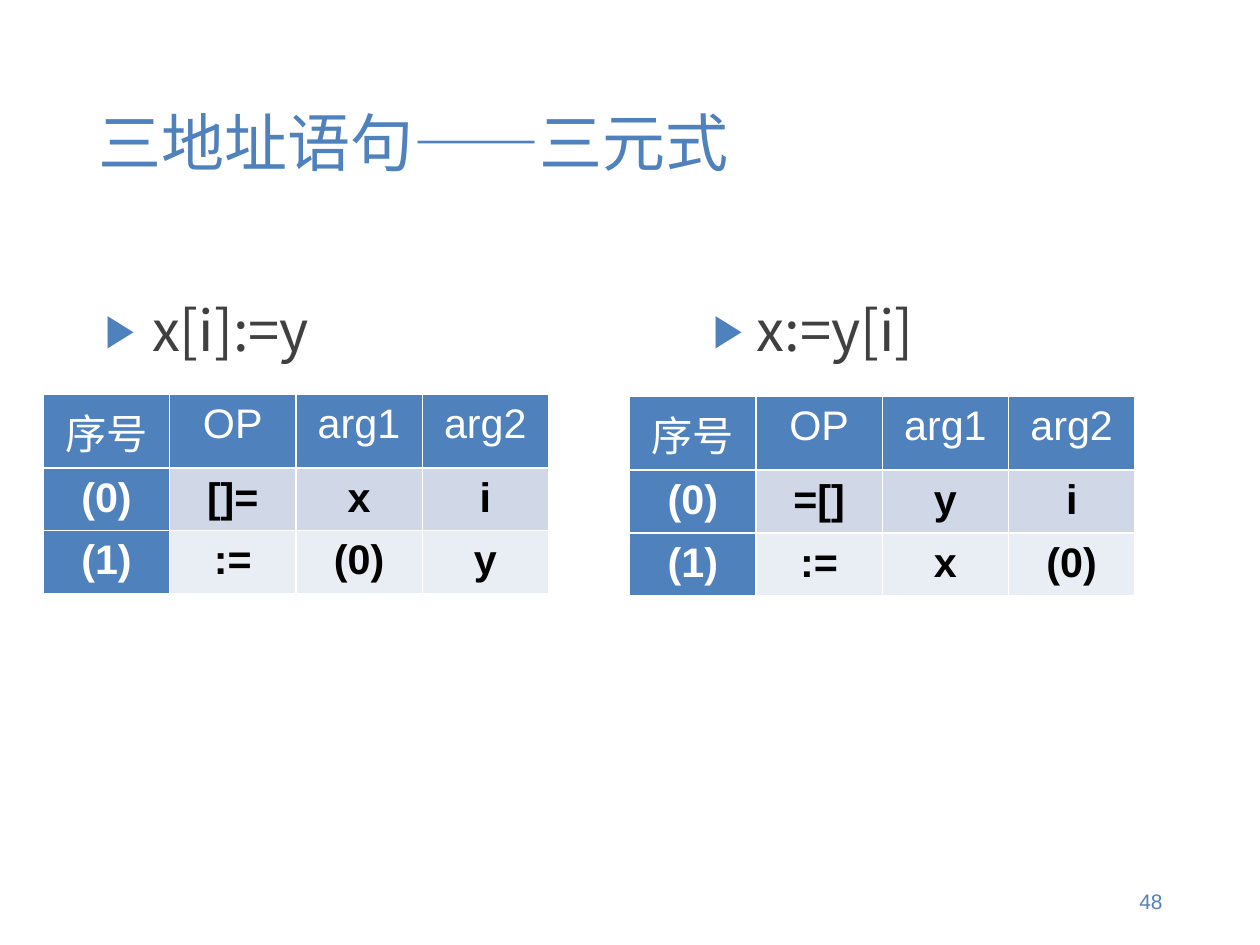
from lxml.etree import SubElement
from pptx import Presentation
from pptx.dml.color import RGBColor
from pptx.enum.text import MSO_ANCHOR as Anchor, MSO_AUTO_SIZE as AutoSize, PP_ALIGN as Align
from pptx.oxml import parse_xml
from pptx.oxml.ns import nsdecls, qn
from pptx.util import Cm, Inches, Pt

BLUE, WHITE, BLACK, GREY = "4F81BD", "FFFFFF", "000000", "404040"
BANDS = ["D0D8E8", "E9EDF4"]
LATIN, CHINESE = "Arial", "Noto Sans CJK SC"
HEADER = ["序号", "OP", "arg1", "arg2"]


def color(hex_string):
    return RGBColor.from_string(hex_string)


class SlideBuilder:
    def __init__(self, slide):
        self.slide = slide

    def place(self, shape, left, top, width, height):
        shape.left, shape.top = Inches(left), Inches(top)
        shape.width, shape.height = Inches(width), Inches(height)

    def format_text(self, text_frame, size, font_color, font_name, align=Align.LEFT, bold=False):
        paragraph = text_frame.paragraphs[0]
        paragraph.alignment = align
        for run in paragraph.runs:
            font = run.font
            font.size, font.bold, font.name = Pt(size), bold, font_name
            font.color.rgb = color(font_color)
            east_asian = SubElement(run._r.get_or_add_rPr(), qn("a:ea"))
            east_asian.set("typeface", CHINESE)

    def set_frame(self, text_frame, anchor):
        text_frame.word_wrap = True
        text_frame.auto_size = AutoSize.NONE
        text_frame.vertical_anchor = anchor
        text_frame.margin_left = text_frame.margin_right = Inches(0.1)
        text_frame.margin_top = text_frame.margin_bottom = Inches(0.05)

    def title(self, text):
        shape = self.slide.shapes.title
        self.place(shape, 0.76, 0.44, 9.51, 1.6)
        shape.text_frame.text = text
        self.set_frame(shape.text_frame, Anchor.MIDDLE)
        self.format_text(shape.text_frame, 39.7, BLUE, CHINESE)

    def bullet(self, index, text, left, indent):
        shape = self.slide.placeholders[index]
        self.place(shape, left, 2.6, 5.04, 4.68)
        shape.text_frame.text = text
        self.set_frame(shape.text_frame, Anchor.TOP)
        paragraph = shape.text_frame.paragraphs[0]
        properties = paragraph._p.get_or_add_pPr()
        properties.set("marL", str(Inches(indent)))
        properties.set("indent", str(-Inches(indent)))
        for xml in (f'<a:buClr {nsdecls("a")}><a:srgbClr val="{BLUE}"/></a:buClr>',
                    f'<a:buSzPct {nsdecls("a")} val="80000"/>',
                    f'<a:buFont {nsdecls("a")} typeface="{LATIN}"/>',
                    f'<a:buChar {nsdecls("a")} char="▶"/>'):
            properties.append(parse_xml(xml))
        paragraph.line_spacing = 0.9
        paragraph.space_before = Pt(0)
        self.format_text(shape.text_frame, 35.3, GREY, CHINESE)

    def borders(self, cell):
        properties = cell._tc.get_or_add_tcPr()
        for position, side in enumerate(["lnL", "lnR", "lnT", "lnB"]):
            properties.insert(position, parse_xml(
                f'<a:{side} {nsdecls("a")} w="{Pt(1)}"><a:solidFill>'
                f'<a:srgbClr val="{WHITE}"/></a:solidFill></a:{side}>'))

    def table(self, left, top, rows):
        frame = self.slide.shapes.add_table(
            len(rows), len(HEADER), Inches(left), Inches(top), Inches(4.42), Inches(1.65))
        table = frame.table
        table.first_col = True
        for row_index, row in enumerate(rows):
            for column_index, text in enumerate(row):
                cell = table.cell(row_index, column_index)
                is_header = row_index == 0
                is_blue = is_header or column_index == 0
                cell.text_frame.text = text
                cell.margin_left = cell.margin_right = Inches(0.11)
                cell.margin_top = cell.margin_bottom = Inches(0.06)
                cell.fill.solid()
                cell.fill.fore_color.rgb = color(BLUE if is_blue else BANDS[row_index - 1])
                self.borders(cell)
                self.format_text(cell.text_frame, 26, WHITE if is_blue else BLACK,
                                 LATIN, Align.CENTER, bold=not is_header)

    def page_number(self, text):
        box = self.slide.shapes.add_textbox(Inches(7.79), Inches(7.66), Inches(2.48), Inches(0.44))
        box.text_frame.text = text
        self.set_frame(box.text_frame, Anchor.MIDDLE)
        self.format_text(box.text_frame, 13.2, BLUE, LATIN, Align.RIGHT)


def main():
    presentation = Presentation()
    presentation.slide_width, presentation.slide_height = Cm(28), Cm(21)
    two_content = presentation.slide_layouts[3]
    builder = SlideBuilder(presentation.slides.add_slide(two_content))
    builder.title("三地址语句——三元式")
    builder.bullet(1, "x[i]:=y", 0.82, 0.41)
    builder.bullet(2, "x:=y[i]", 6.14, 0.38)
    builder.table(0.38, 3.45, [HEADER, ["(0)", "[]=", "x", "i"], ["(1)", ":=", "(0)", "y"]])
    builder.table(5.51, 3.47, [HEADER, ["(0)", "=[]", "y", "i"], ["(1)", ":=", "x", "(0)"]])
    builder.page_number("48")
    presentation.save("out.pptx")


if __name__ == "__main__":
    main()
